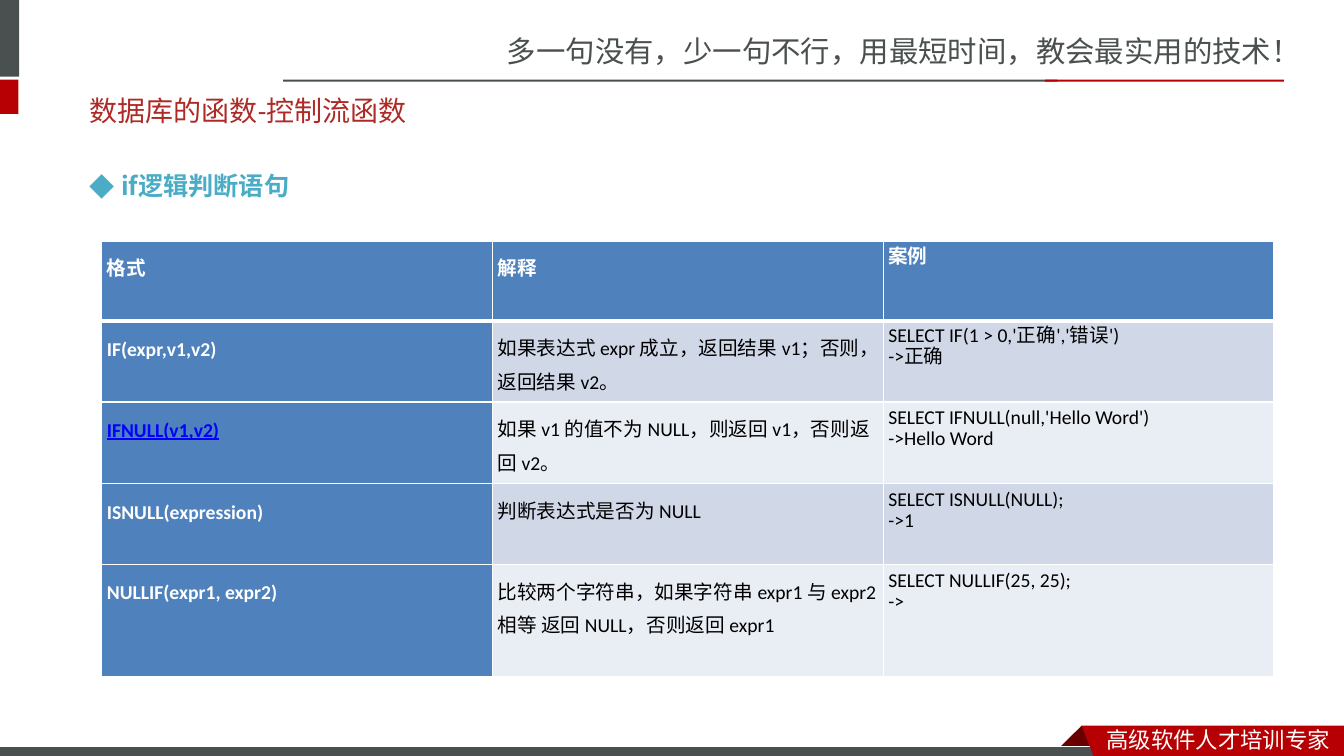
from dataclasses import dataclass
from pptx import Presentation
from pptx.dml.color import RGBColor
from pptx.enum.shapes import MSO_SHAPE as Kind
from pptx.enum.text import MSO_ANCHOR as Anchor
from pptx.oxml.ns import qn
from pptx.util import Pt
from lxml.etree import SubElement as Sub


@dataclass(frozen=True)
class Theme:
    gray: str = "49504F"
    red: str = "B60004"
    dark: str = "680000"
    brick: str = "AD2A26"
    teal: str = "4BACC6"
    blue: str = "4F81BD"
    link: str = "0000FF"
    white: str = "FFFFFF"
    black: str = "000000"
    bands: tuple = ("D0D8E8", "E9EDF4")
    latin: str = "Calibri"
    asian: str = "Noto Sans CJK SC"
    motto: int = 21
    title: int = 20
    topic: int = 18
    label: int = 16
    body: int = 14


T = Theme()

HEAD = ["格式", "解释", "案例"]
ROWS = [
    ["IF(expr,v1,v2)",
     "如果表达式 expr 成立，返回结果 v1；否则，返回结果 v2。",
     "SELECT IF(1 > 0,'正确','错误')\n->正确"],
    ["IFNULL(v1,v2)",
     "如果 v1 的值不为 NULL，则返回 v1，否则返回 v2。",
     "SELECT IFNULL(null,'Hello Word')\n->Hello Word"],
    ["ISNULL(expression)", "判断表达式是否为 NULL", "SELECT ISNULL(NULL);\n->1"],
    ["NULLIF(expr1, expr2)",
     "比较两个字符串，如果字符串 expr1 与 expr2 相等 返回 NULL，否则返回 expr1",
     "SELECT NULLIF(25, 25);\n->"],
]
LINKED = "IFNULL(v1,v2)"


def rgb(code):
    return RGBColor.from_string(code)


def style(para, size, color, face=T.asian, bold=False):
    font = para.font
    font.size, font.bold, font.name = Pt(size), bold, face
    font.color.rgb = rgb(color)
    props = para._p.pPr.find(qn("a:defRPr"))
    Sub(props, qn("a:ea"), typeface=T.asian)


def paint(shape, fill, line=None):
    shape.shadow.inherit = False
    shape.fill.solid()
    shape.fill.fore_color.rgb = rgb(fill)
    if line:
        shape.line.color.rgb = rgb(line)
        shape.line.width = Pt(0.75)
    else:
        shape.line.fill.background()


def block(slide, box, fill, line=None):
    paint(slide.shapes.add_shape(Kind.RECTANGLE, *map(Pt, box)), fill, line)


def outline(slide, points, fill):
    first, *rest = [(Pt(x), Pt(y)) for x, y in points]
    form = slide.shapes.build_freeform(*first)
    form.add_line_segments(rest, close=True)
    paint(form.convert_to_shape(), fill)


def bullet(para, sign, gap):
    props = para._p.get_or_add_pPr()
    props.set("marL", str(Pt(gap)))
    props.set("indent", str(-Pt(gap)))
    Sub(props, qn("a:buFont"), typeface=T.asian)
    Sub(props, qn("a:buChar"), char=sign)


def label(slide, box, text, size, color, face=T.asian, bold=False,
          anchor=Anchor.TOP, sign=None):
    frame = slide.shapes.add_textbox(*map(Pt, box)).text_frame
    frame.word_wrap = True
    frame.vertical_anchor = anchor
    para = frame.paragraphs[0]
    para.text = text
    if sign:
        bullet(para, sign, 22.5)
    style(para, size, color, face, bold)


def border(cell, top, base):
    props = cell._tc.get_or_add_tcPr()
    sides = {"a:lnL": 1, "a:lnR": 1, "a:lnT": top, "a:lnB": base}
    for spot, (tag, width) in enumerate(sides.items()):
        line = Sub(props, qn(tag), w=str(Pt(width)))
        Sub(Sub(line, qn("a:solidFill")), qn("a:srgbClr"), val=T.white)
        props.insert(spot, line)


def fill_cell(cell, text, row, col):
    key = row == 0 or col == 0
    cell.fill.solid()
    cell.fill.fore_color.rgb = rgb(T.blue if key else T.bands[(row - 1) % 2])
    cell.margin_left = cell.margin_right = Pt(3.6)
    cell.margin_top = cell.margin_bottom = Pt(5)
    border(cell, 3 if row == 1 else 1, 3 if row == 0 else 1)
    cell.text = text
    linked = text == LINKED
    color = T.link if linked else T.white if key else T.black
    for para in cell.text_frame.paragraphs:
        para.line_spacing = Pt(15 if col == 2 else 24)
        style(para, T.body, color, T.latin if row else T.asian, key)
        if linked:
            para.font.underline = True


def grid(slide, left, top, width, heights):
    data = [HEAD, *ROWS]
    frame = slide.shapes.add_table(len(data), len(HEAD), Pt(left), Pt(top),
                                   Pt(width * len(HEAD)), Pt(sum(heights)))
    table = frame.table
    for col in table.columns:
        col.width = Pt(width)
    for row, (texts, height) in enumerate(zip(data, heights)):
        table.rows[row].height = Pt(height)
        for col, text in enumerate(texts):
            fill_cell(table.cell(row, col), text, row, col)


def main():
    deck = Presentation()
    deck.slide_width, deck.slide_height = Pt(960), Pt(540)
    slide = deck.slides.add_slide(deck.slide_layouts[6])

    # Top band
    label(slide, (355, 20.2, 605.5, 33.8),
          "多一句没有，少一句不行，用最短时间，教会最实用的技术！", T.motto, T.gray)
    block(slide, (-4.3, 0, 18, 54.7), T.gray)
    block(slide, (-4.3, 56.9, 17.5, 24.5), T.red)
    block(slide, (202.3, 56.9, 553, 1.5), T.gray)
    block(slide, (746.6, 56.9, 170.6, 1.5), T.red)

    # Bottom ribbon
    outline(slide, [(772.6, 518.4), (788.4, 534.2), (787.7, 535),
                    (757.4, 535), (756.7, 534.2)], T.dark)
    block(slide, (-0.7, 533.5, 792, 8.6), T.gray, T.white)
    outline(slide, [(772.6, 518.4), (960, 518.4), (960, 542.9),
                    (781.9, 542.2)], T.red)
    label(slide, (783.4, 514.8, 176.6, 26.6), "高级软件人才培训专家",
          T.label, T.white)

    # Headings
    label(slide, (56.9, 58.3, 690.5, 41), "数据库的函数-控制流函数",
          T.title, T.brick, T.latin, anchor=Anchor.MIDDLE)
    label(slide, (56.9, 118.1, 667.4, 28.8), "if逻辑判断语句",
          T.topic, T.teal, bold=True, sign="◆")

    # Function table
    grid(slide, 72.7, 172.1, 279.1, [57, 58, 58.5, 57.5, 80.5])

    deck.save("out.pptx")


if __name__ == "__main__":
    main()
